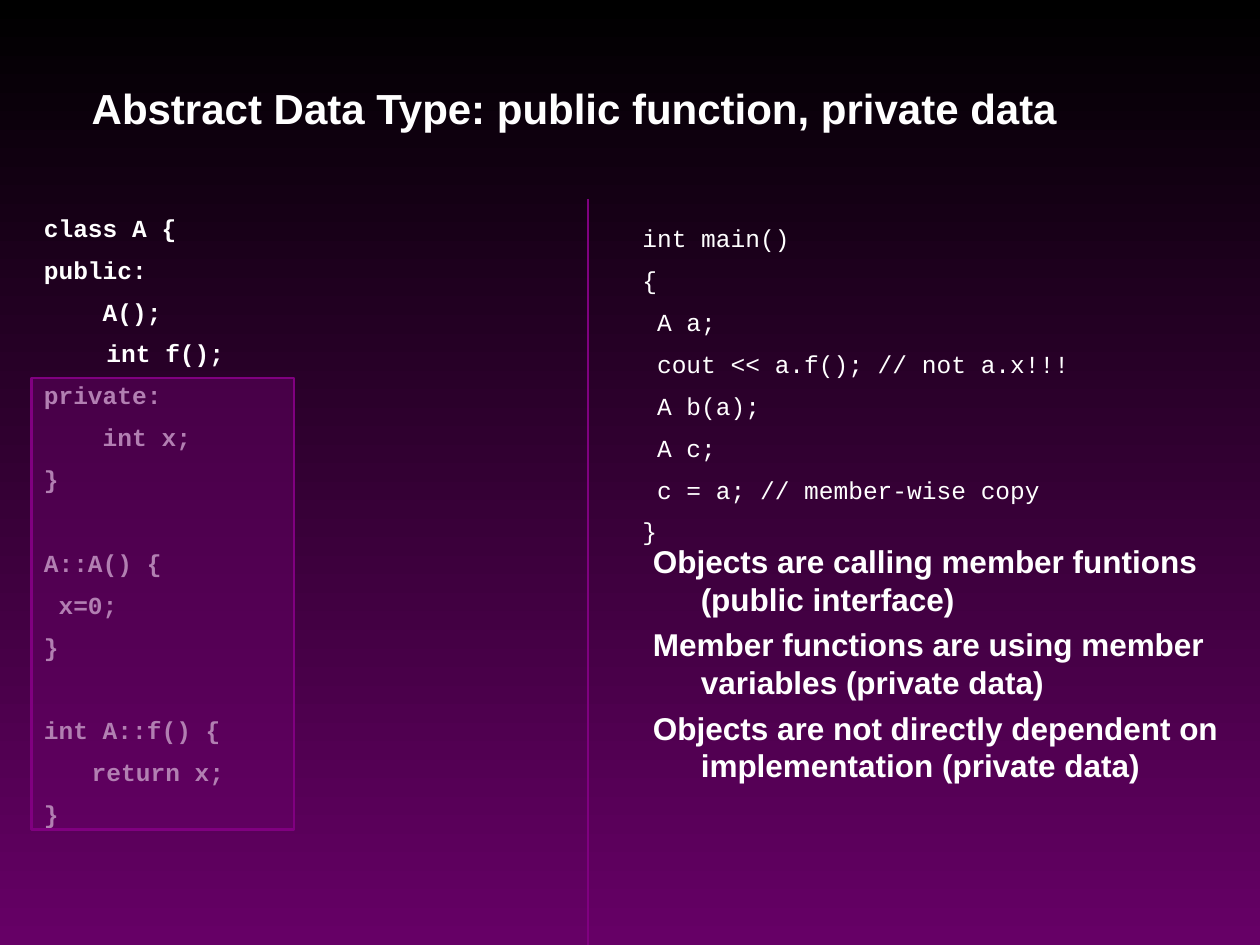
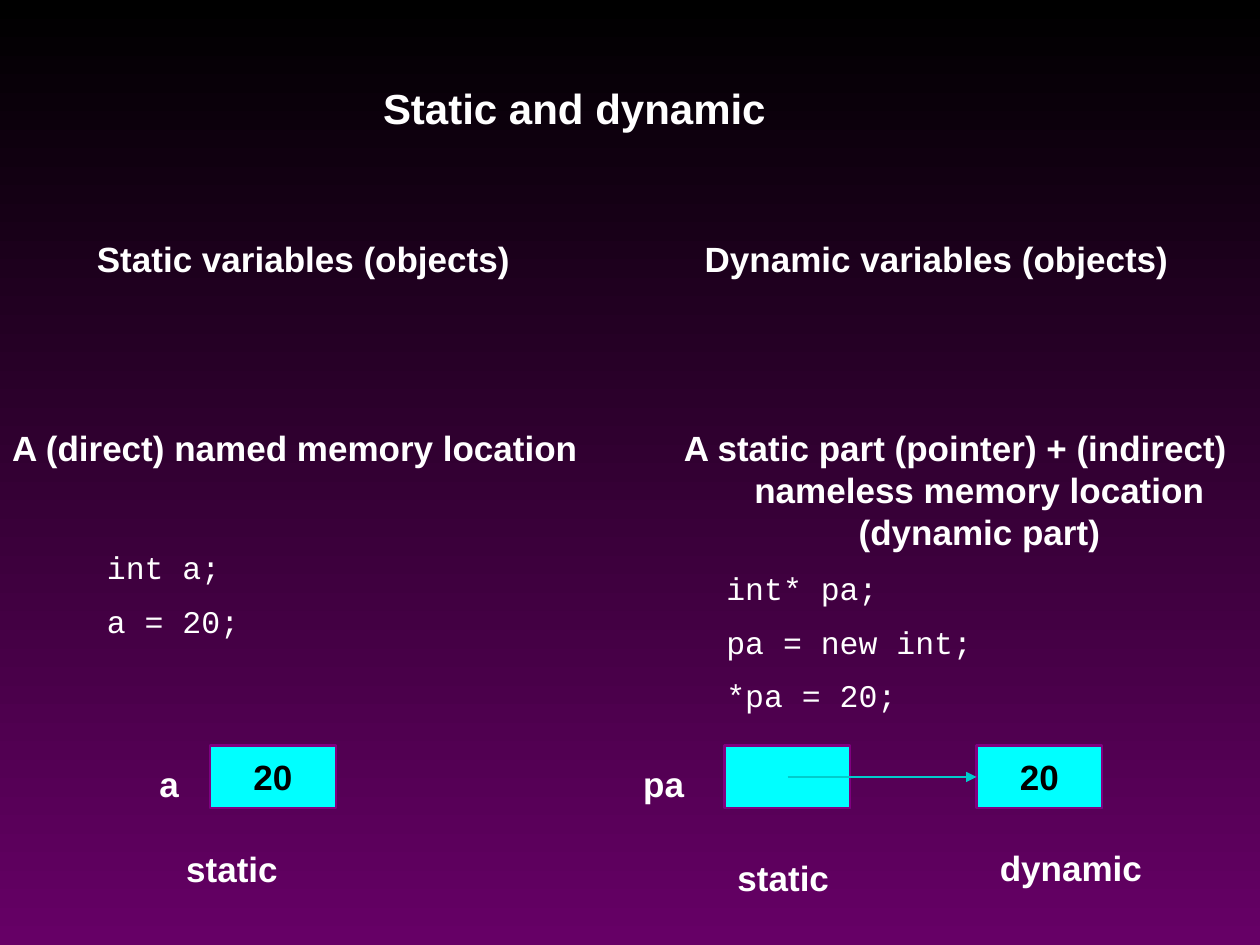
from lxml import etree
from pptx import Presentation
from pptx import util as u
from pptx.dml.color import RGBColor
from pptx.enum import shapes, text
from pptx.oxml.ns import qn

BLACK = RGBColor(0x00, 0x00, 0x00)
WHITE = RGBColor(0xFF, 0xFF, 0xFF)
PLUM = RGBColor(0x66, 0x00, 0x66)
PURPLE = RGBColor(0x80, 0x00, 0x80)
CYAN = RGBColor(0x00, 0xFF, 0xFF)
TEAL = RGBColor(0x00, 0xCC, 0xCC)

CELL = u.Inches(1) // 12  # the slide is 120 columns by 90 rows
COLUMNS, ROWS = 120, 90
HANGING = u.Inches(0.38)
OUTLINE = u.Pt(1.25)
LEFT, CENTER = text.PP_ALIGN.LEFT, text.PP_ALIGN.CENTER

TITLE = dict(name="Arial", size=u.Pt(24), bold=True)
LABEL = dict(name="Arial", size=u.Pt(20), bold=True)
REMARK = dict(name="Arial", size=u.Pt(18), bold=True)
CLASS_CODE = dict(name="Courier New", size=u.Pt(14), bold=True)
MAIN_CODE = dict(name="Courier New", size=u.Pt(14))
MEMORY_CODE = dict(name="Courier New", size=u.Pt(18))

CLASS_LINES = """class A {
public:
    A();
\t int f();
private:
    int x;
}

A::A() {
 x=0;
}

int A::f() {
\treturn x;
}"""

MAIN_LINES = """int main()
{
 A a;
 cout << a.f(); // not a.x!!!
 A b(a);
 A c;
 c = a; // member-wise copy
}"""

REMARKS = """Objects are calling member funtions (public interface)
Member functions are using member variables (private data)
Objects are not directly dependent on implementation (private data)"""


def grid(*cells):
    return [round(cell * CELL) for cell in cells]


def set_hanging(paragraph):
    """Hang the wrapped lines and set a tab stop at every inch."""
    properties = paragraph._p.get_or_add_pPr()
    properties.set("marL", str(HANGING))
    properties.set("indent", str(-HANGING))
    stops = etree.SubElement(properties, qn("a:tabLst"))
    for inch in range(8):
        etree.SubElement(stops, qn("a:tab"), pos=str(u.Inches(inch)), algn="l")


def write(frame, wording, style, color=WHITE, align=LEFT, gap=0, spacing=None):
    """Fill a frame line by line; an empty line widens the gap by one line."""
    skipped = 0
    paragraph = frame.paragraphs[0]
    for number, line in enumerate(wording.split("\n")):
        if not line:
            skipped += 1
            continue
        if number:
            paragraph = frame.add_paragraph()
            line_height = style["size"].pt * 1.2 * (spacing or 1)
            paragraph.space_before = u.Pt(round(gap + skipped * (gap + line_height), 1))
        skipped = 0
        set_hanging(paragraph)
        paragraph.alignment = align
        paragraph.line_spacing = spacing
        run = paragraph.add_run()
        run.text = line
        for key, value in style.items():
            setattr(run.font, key, value)
        run.font.color.rgb = color


def add_text(slide, place, wording, style, wrap=True, **layout):
    frame = slide.shapes.add_textbox(*grid(*place)).text_frame
    frame.word_wrap = wrap
    frame.auto_size = text.MSO_AUTO_SIZE.SHAPE_TO_FIT_TEXT
    write(frame, wording, style, **layout)


def add_code(slide, place, wording, style, gap):
    add_text(slide, place, wording, style, gap=gap, spacing=0.9)


def add_label(slide, middle, top, width, wording, style=LABEL):
    height = style["size"].pt * 0.264
    add_text(slide, (middle - width / 2, top, width, height), wording, style,
             wrap=False, align=CENTER)


def add_box(slide, place, color, opacity=None):
    box = slide.shapes.add_shape(shapes.MSO_SHAPE.RECTANGLE, *grid(*place))
    box.shadow.inherit = False
    box.fill.solid()
    box.fill.fore_color.rgb = color
    if opacity:
        tint = box.fill._xPr.find(qn("a:solidFill"))[0]
        etree.SubElement(tint, qn("a:alpha"), val=str(opacity * 1000))
    box.line.color.rgb = PURPLE
    box.line.width = OUTLINE
    return box


def add_memory_cell(slide, column, value=None):
    cell = add_box(slide, (column, 71, 12, 6), CYAN)
    if value:
        cell.text_frame.word_wrap = False
        cell.text_frame.vertical_anchor = text.MSO_ANCHOR.MIDDLE
        write(cell.text_frame, value, LABEL, color=BLACK, align=CENTER)
    return cell


def add_line(slide, ends, color, arrow=False):
    line = slide.shapes.add_connector(shapes.MSO_CONNECTOR.STRAIGHT, *grid(*ends))
    line.line.color.rgb = color
    line.line.width = OUTLINE
    if arrow:
        etree.SubElement(line.line._get_or_add_ln(), qn("a:tailEnd"), type="triangle")
    etree.SubElement(line._element.spPr, qn("a:effectLst"))
    return line


def add_slide(deck, title, title_width):
    slide = deck.slides.add_slide(deck.slide_layouts[6])
    backdrop = slide.background.fill
    backdrop.gradient()
    backdrop.gradient_angle = 270
    for stop, position, color in zip(backdrop.gradient_stops, (0, 1), (BLACK, PLUM)):
        stop.position = position
        stop.color.rgb = color
    add_label(slide, 54.7, 7.3, title_width, title, TITLE)
    return slide


def build_data_type(deck):
    slide = add_slide(deck, "Abstract Data Type: public function, private data", 103.6)
    add_code(slide, (3, 20, 60, 63.5), CLASS_LINES, CLASS_CODE, gap=8.8)
    add_code(slide, (60, 21, 60, 39.6), MAIN_LINES, MAIN_CODE, gap=8.8)
    add_text(slide, (61, 51, 63, 24.4), REMARKS, REMARK, gap=4.5)
    add_line(slide, (56, 19, 56, ROWS), PURPLE)
    add_box(slide, (3, 36, 25, 43), PLUM, opacity=50)


def build_static_dynamic(deck):
    slide = add_slide(deck, "Static and dynamic", 47.9)
    for middle, top, width, wording in (
        (28.9, 22, 50.8, "Static variables (objects)"),
        (89.2, 22, 55.6, "Dynamic variables (objects)"),
        (28.1, 40, 65.4, "A (direct) named memory location"),
        (16.1, 72, 13.2, "a"),
        (63.2, 72, 15.2, "pa"),
        (22.1, 80.1, 20.2, "static"),
        (74.6, 81, 20.2, "static"),
        (102, 80, 25, "dynamic"),
    ):
        add_label(slide, middle, top, width, wording)
    add_text(slide, (62, 40, 58, 13.2),
             "A static part (pointer) + (indirect) nameless memory location (dynamic part)",
             LABEL, align=CENTER)
    add_code(slide, (9, 52, 60, 14.8), "int a;\na = 20;", MEMORY_CODE, gap=11.2)
    add_code(slide, (68, 54, 60, 19.8), "int* pa;\npa = new int;\n*pa = 20;",
             MEMORY_CODE, gap=11.2)
    add_memory_cell(slide, 20, "20")
    add_memory_cell(slide, 69)
    target = add_memory_cell(slide, 93, "20")
    pointer = add_line(slide, (75, 74, 93, 74), TEAL, arrow=True)
    pointer.end_connect(target, 1)


def main():
    deck = Presentation()
    deck.slide_width, deck.slide_height = grid(COLUMNS, ROWS)
    build_data_type(deck)
    build_static_dynamic(deck)
    deck.save("out.pptx")


if __name__ == "__main__":
    main()
